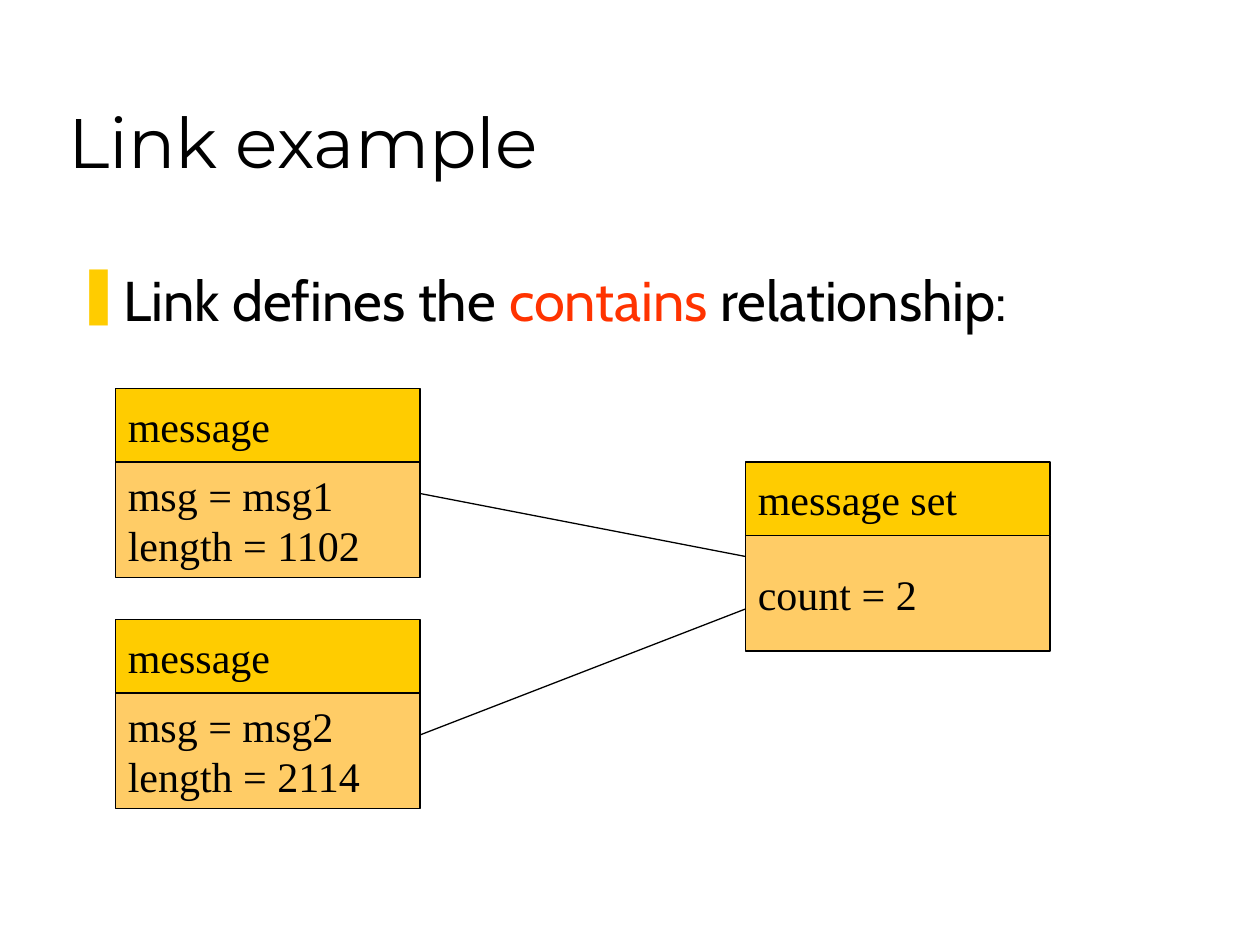
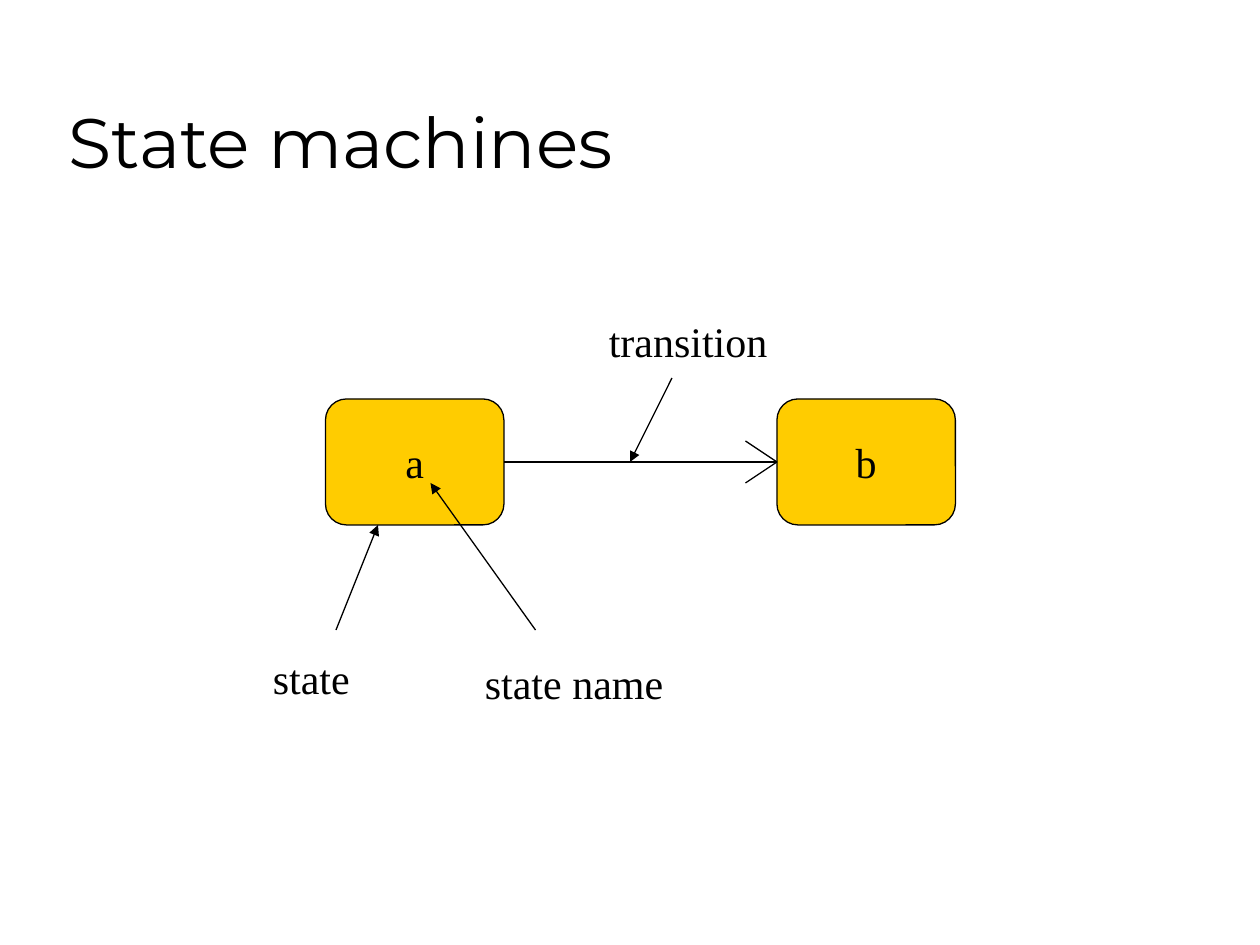
from lxml.etree import SubElement
from pptx import Presentation
from pptx.dml.color import RGBColor
from pptx.enum.shapes import MSO_CONNECTOR as Connector, MSO_SHAPE as Shape
from pptx.enum.text import MSO_ANCHOR as Anchor, MSO_AUTO_SIZE as AutoSize, PP_ALIGN as Align
from pptx.oxml.ns import qn
from pptx.util import Inches, Pt

COLUMN = Inches(10) / 120
BLACK, GOLD, AMBER, RED = "000000", "FFCC00", "FFCC66", "FF3300"
TITLE_FONT, BODY_FONT, DIAGRAM_FONT = "Montserrat", "Cabin", "Times New Roman"
TITLE_BOX = (5.3, 3, 102, 15)
LEFT_SIDE, RIGHT_SIDE = 1, 3


def color(hex_code):
    """Turn a hex string into a colour."""
    return RGBColor.from_string(hex_code)


def grid(*cells):
    """Turn grid columns or rows into slide lengths."""
    return [round(cell * COLUMN) for cell in cells]


def write(frame, text, font=DIAGRAM_FONT, size=24, align=Align.LEFT,
          anchor=Anchor.TOP, wrap=True, accents=None):
    """Fill a text frame, one paragraph per line; lines may be lists of pieces."""
    frame.auto_size = AutoSize.NONE
    frame.word_wrap = wrap
    frame.vertical_anchor = anchor
    frame.margin_left = frame.margin_right = Inches(0.1)
    frame.margin_top = frame.margin_bottom = Inches(0.05)
    lines = text.split("\n") if isinstance(text, str) else [text]
    for number, line in enumerate(lines):
        paragraph = frame.add_paragraph() if number else frame.paragraphs[0]
        paragraph.alignment = align
        for piece in [line] if isinstance(line, str) else line:
            run = paragraph.add_run()
            run.text = piece
            run.font.name = font
            run.font.size = Pt(size)
            run.font.color.rgb = color((accents or {}).get(piece, BLACK))


def titled_slide(deck, title):
    """Add a slide with the shared title style."""
    slide = deck.slides.add_slide(deck.slide_layouts[5])
    heading = slide.shapes.title
    heading.left, heading.top, heading.width, heading.height = grid(*TITLE_BOX)
    write(heading.text_frame, title, font=TITLE_FONT, size=40, anchor=Anchor.BOTTOM)
    return slide


def filled_box(shapes, kind, box, fill, text, **text_format):
    """Draw an outlined box with text centred vertically."""
    outline = shapes.add_shape(kind, *grid(*box))
    outline.shadow.inherit = False
    outline.fill.solid()
    outline.fill.fore_color.rgb = color(fill)
    outline.line.color.rgb = color(BLACK)
    outline.line.width = Pt(0.75)
    write(outline.text_frame, text, anchor=Anchor.MIDDLE, **text_format)
    return outline


def thin_line(shapes, start, end, arrow=False):
    """Draw a thin black line, with an arrowhead at its end if wanted."""
    line = shapes.add_connector(Connector.STRAIGHT, *grid(*start, *end))
    line.line.color.rgb = color(BLACK)
    line.line.width = Pt(0.75)
    if arrow:
        SubElement(line.line._get_or_add_ln(), qn("a:tailEnd"), type="triangle")
    SubElement(line._element.spPr, qn("a:effectLst"))
    return line


def bullet_statement(shapes, box, pieces, accents):
    """Write one statement behind a gold bar bullet."""
    statement = shapes.add_textbox(*grid(*box)).text_frame
    properties = statement.paragraphs[0]._p.get_or_add_pPr()
    properties.set("marL", str(Inches(0.38)))
    properties.set("indent", str(-Inches(0.38)))
    bullet_color = SubElement(properties, qn("a:buClr"))
    SubElement(bullet_color, qn("a:srgbClr"), val=GOLD)
    SubElement(properties, qn("a:buChar"), char="❚")
    write(statement, pieces, font=BODY_FONT, size=32, accents=accents)


def object_card(shapes, left, top, name, attributes):
    """Draw an object: its class name above its attributes."""
    width, name_rows, attribute_rows = 29, 7, 11
    filled_box(shapes, Shape.RECTANGLE, (left, top, width, name_rows), GOLD, name)
    filled_box(shapes, Shape.RECTANGLE, (left, top + name_rows, width, attribute_rows),
               AMBER, attributes)


def link_slide(deck):
    """Show two messages linked to their message set."""
    shapes = titled_slide(deck, "Link example").shapes
    bullet_statement(shapes, (6, 24.7, 107.3, 9.2),
                     ["Link defines the ", "contains", " relationship:"], {"contains": RED})
    messages_left, set_left, set_top = 11, 71, 44
    messages = [(37, "msg = msg1\nlength = 1102", 10, 9),
                (59, "msg = msg2\nlength = 2114", 11, 14)]
    for top, attributes, _, _ in messages:
        object_card(shapes, messages_left, top, "message", attributes)
    object_card(shapes, set_left, set_top, "message set", "count = 2")
    for top, _, start_row, end_row in messages:
        thin_line(shapes, (messages_left + 29, top + start_row), (set_left, set_top + end_row))


def state(shapes, left, top, name):
    """Draw a rounded state box with its name."""
    return filled_box(shapes, Shape.ROUNDED_RECTANGLE, (left, top, 17, 12), GOLD, name,
                      align=Align.CENTER)


def transition(shapes, source, target, start, end):
    """Join two states with a line and an open arrowhead."""
    path_line = thin_line(shapes, start, end)
    path_line.begin_connect(source, RIGHT_SIDE)
    path_line.end_connect(target, LEFT_SIDE)
    for rise in (-2, 2):
        barb = thin_line(shapes, end, (end[0] - 3, end[1] + rise))
        barb.begin_connect(target, LEFT_SIDE)


def annotations(shapes, notes):
    """Group labels with the arrows that point from them."""
    group = shapes.add_group_shape().shapes
    for _, _, start, end in notes:
        thin_line(group, start, end, arrow=True)
    for text, box, _, _ in notes:
        write(group.add_textbox(*grid(*box)).text_frame, text, wrap=False)


def state_machine_slide(deck):
    """Show two states, their transition and the names of the parts."""
    shapes = titled_slide(deck, "State machines").shapes
    left, top = 31, 38
    state_a = state(shapes, left, top, "a")
    state_b = state(shapes, left + 43, top, "b")
    transition(shapes, state_a, state_b, (left + 17, top + 6), (left + 43, top + 6))
    annotations(shapes, [
        ("state", (left - 6.2, top + 23.6, 9.7, 6), (left + 1, top + 22), (left + 5, top + 12)),
        ("state name", (left + 14, top + 24, 19.3, 6), (left + 20, top + 22), (left + 10, top + 8)),
    ])
    annotations(shapes, [
        ("transition", (left + 25.8, top - 8.5, 17.5, 6), (left + 33, top - 2), (left + 29, top + 6)),
    ])


def main():
    """Build and save the slides."""
    deck = Presentation()
    deck.slide_width, deck.slide_height = grid(120, 90)
    link_slide(deck)
    state_machine_slide(deck)
    deck.save("out.pptx")


if __name__ == "__main__":
    main()
